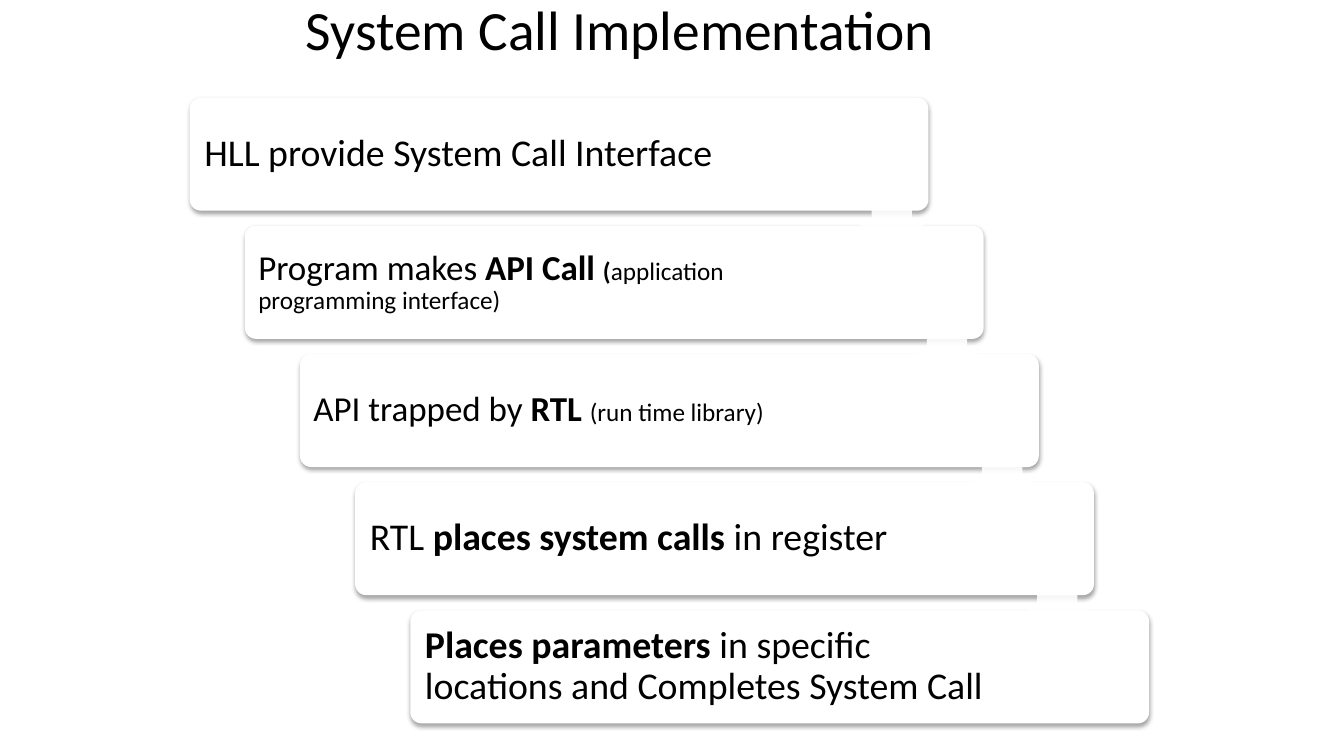
from lxml import etree
from pptx import Presentation
from pptx.dml.color import RGBColor
from pptx.enum.shapes import MSO_SHAPE as SHAPE
from pptx.enum.text import MSO_ANCHOR as ANCHOR, MSO_AUTO_SIZE as AUTO, PP_ALIGN as ALIGN
from pptx.oxml import parse_xml
from pptx.oxml.ns import nsdecls, qn
from pptx.util import Cm, Pt

BLACK = RGBColor(0, 0, 0)
WHITE = RGBColor(255, 255, 255)
FONT = "Calibri"

# Each step: text inset in cm, then runs of (text, size, bold)
STEPS = [
    (0.28, [("HLL provide System Call Interface", 27, False)]),
    (0.25, [("Program makes ", 25, False), ("API Call ", 25, True), ("(", 18, True),
            ("application programming interface)", 18, False)]),
    (0.25, [("API trapped by ", 25, False), ("RTL ", 25, True),
            ("(run time library)", 18, False)]),
    (0.28, [("RTL ", 27, False), ("places system calls", 27, True),
            (" in register", 27, False)]),
    (0.28, [("Places parameters", 27, True),
            (" in specific locations and Completes System Call", 27, False)]),
]


def format_run(r, size, bold=False):
    r.font.name = FONT
    r.font.size = Pt(size)
    r.font.bold = bold
    r.font.color.rgb = BLACK


def set_frame(tf, anchor, inset_x, inset_y):
    tf.word_wrap = True
    tf.auto_size = AUTO.NONE
    tf.vertical_anchor = anchor
    tf.margin_left = tf.margin_right = Cm(inset_x)
    tf.margin_top = tf.margin_bottom = Cm(inset_y)


def add_white_shape(s, kind, box, adjustments):
    sp = s.shapes.add_shape(kind, *(Cm(v) for v in box))
    for i, value in enumerate(adjustments):
        sp.adjustments[i] = value
    sp.shadow.inherit = False
    sp.fill.solid()
    sp.fill.fore_color.rgb = WHITE
    sp.line.fill.background()
    return sp


def add_shadow(sp):
    effects = sp._element.spPr.find(qn("a:effectLst"))
    effects.append(parse_xml(
        f'<a:outerShdw {nsdecls("a")} blurRad="{Pt(3.1)}" dist="{Pt(1.8)}" '
        'dir="5400000" rotWithShape="0">'
        '<a:srgbClr val="000000"><a:alpha val="35000"/></a:srgbClr></a:outerShdw>'))


def add_title(s, text, box):
    title = s.shapes.title
    title.left, title.top, title.width, title.height = (Cm(v) for v in box)
    tf = title.text_frame
    tf.text = text
    set_frame(tf, ANCHOR.BOTTOM, 0.25, 0.13)
    p = tf.paragraphs[0]
    p.alignment = ALIGN.CENTER
    format_run(p.runs[0], 39.6)


def add_step(s, box, inset, runs):
    """Draw a rounded card with its text in the left part."""
    x, y, w, h = box
    add_shadow(add_white_shape(s, SHAPE.ROUNDED_RECTANGLE, box, [0.1]))
    pad = 0.09
    label = s.shapes.add_textbox(Cm(x + pad), Cm(y + pad), Cm(w - 3.4), Cm(h - 2 * pad))
    tf = label.text_frame
    set_frame(tf, ANCHOR.MIDDLE, inset, inset)
    p = tf.paragraphs[0]
    p.line_spacing = 0.9
    for text, size, bold in runs:
        r = p.add_run()
        r.text = text
        format_run(r, size, bold)


def add_arrow(s, box):
    sp = add_white_shape(s, SHAPE.DOWN_ARROW, box, [0.55, 0.45])
    color = sp._element.spPr.find(qn("a:solidFill"))[0]
    etree.SubElement(color, qn("a:alpha")).set("val", "90000")


def add_staircase(s, box, card_w, card_h):
    """Spread the cards evenly down the box's diagonal, then join them with arrows."""
    x, y, w, h = box
    gaps = len(STEPS) - 1
    dx, dy = (w - card_w) / gaps, (h - card_h) / gaps
    corners = [(x + i * dx, y + i * dy) for i in range(len(STEPS))]
    for (left, top), (inset, runs) in zip(corners, STEPS):
        add_step(s, (left, top, card_w, card_h), inset, runs)
    side = 1.85
    for left, top in corners[:-1]:
        add_arrow(s, (left + card_w - side, top + 2.08, side, side))


def main():
    prs = Presentation()
    prs.slide_width, prs.slide_height = Cm(33.87), Cm(19.05)
    s = prs.slides.add_slide(prs.slide_layouts[5])
    add_staircase(s, (4.78, 2.46, 24.18, 15.77), 18.62, 2.85)
    add_title(s, "System Call Implementation", (5.21, 0.3, 20.83, 1.37))
    prs.save("out.pptx")


if __name__ == "__main__":
    main()
